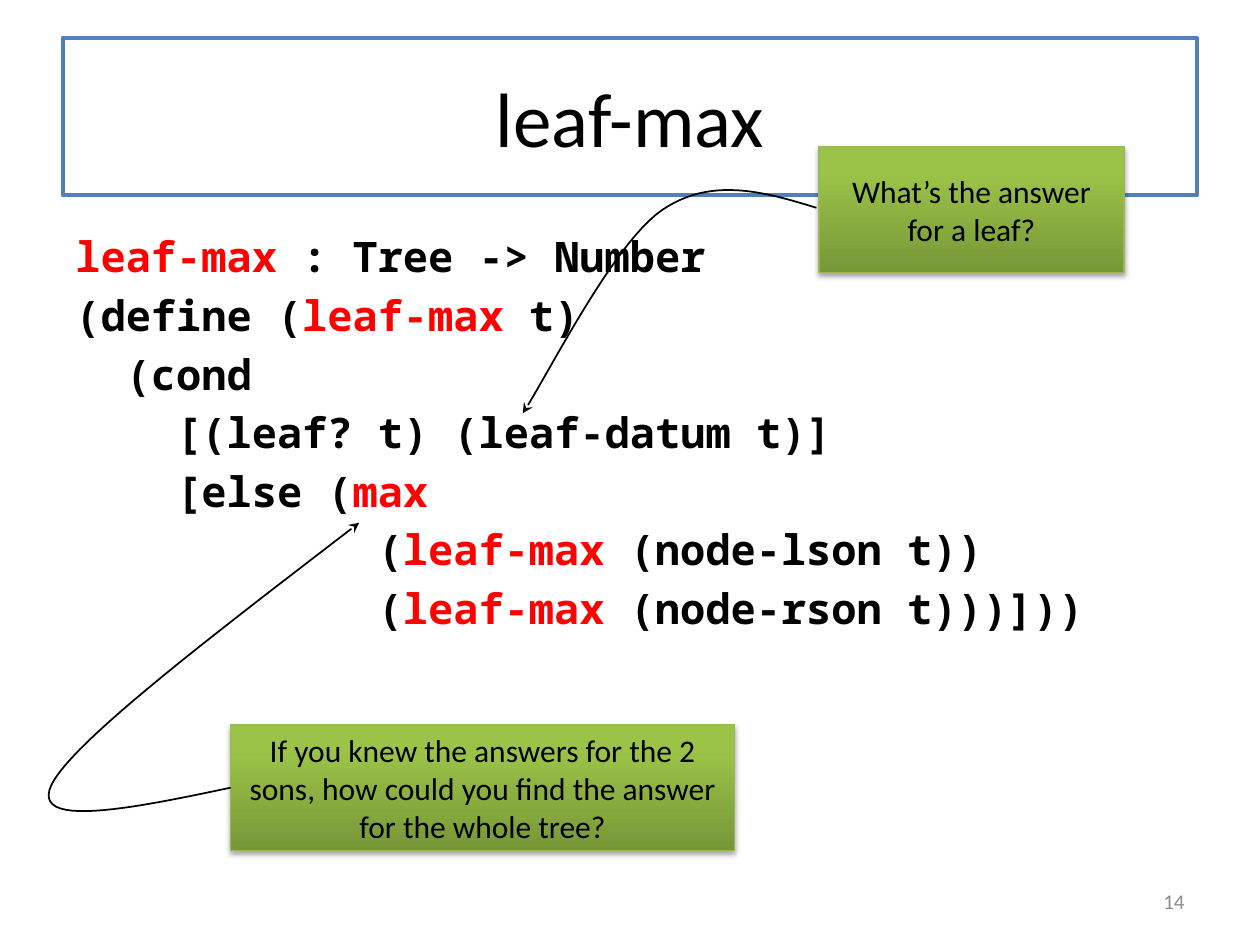
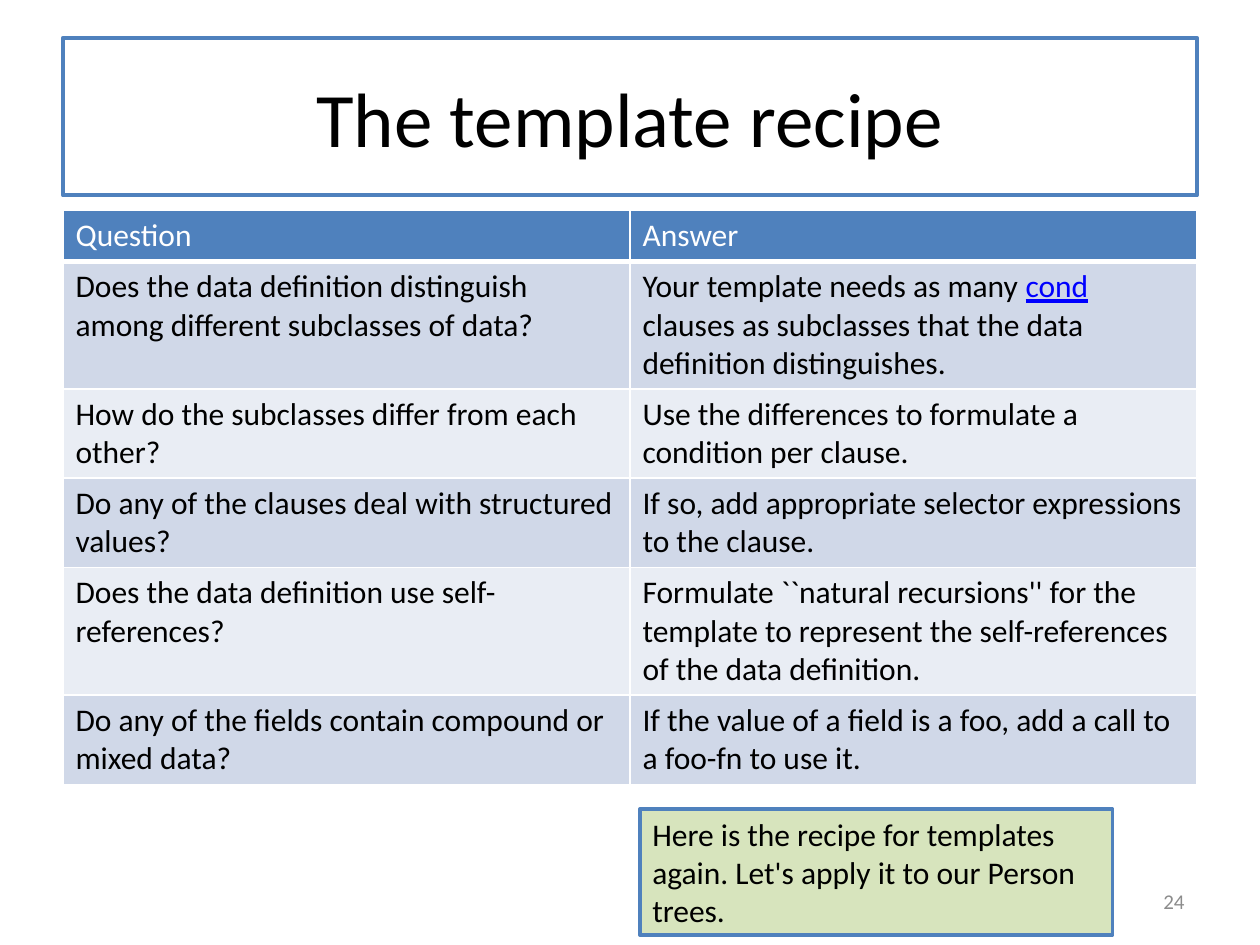
from dataclasses import dataclass

from lxml.etree import SubElement
from pptx import Presentation
from pptx.dml.color import RGBColor
from pptx.enum.shapes import MSO_SHAPE
from pptx.enum.text import MSO_ANCHOR, PP_ALIGN
from pptx.oxml.ns import qn
from pptx.presentation import Presentation as Deck
from pptx.shapes.autoshape import Shape
from pptx.slide import Slide
from pptx.table import _Cell as Cell
from pptx.text.text import _Paragraph as Paragraph
from pptx.util import Cm, Pt

# Shared look
BLACK = RGBColor(0x00, 0x00, 0x00)
WHITE = RGBColor(0xFF, 0xFF, 0xFF)
RED = RGBColor(0xFF, 0x00, 0x00)
LINK_BLUE = RGBColor(0x00, 0x00, 0xFF)
BLUE = RGBColor(0x4F, 0x81, 0xBD)
GREY = RGBColor(0x8C, 0x8C, 0x8C)
DARK_GREEN = RGBColor(0x77, 0x97, 0x37)
LIGHT_GREEN = RGBColor(0x9B, 0xC3, 0x48)
EDGE_GREEN = RGBColor(0x98, 0xB9, 0x55)
PALE_GREEN = RGBColor(0xD7, 0xE4, 0xBD)
BANDS = (RGBColor(0xD0, 0xD8, 0xE8), RGBColor(0xE9, 0xED, 0xF4))
TEXT_FONT = "Calibri"
CODE_FONT = "Noto Sans Mono"
CURVE_STEPS = 24

Point = tuple[float, float]


@dataclass(frozen=True)
class Piece:
    text: str
    color: RGBColor = BLACK
    underline: bool = False


@dataclass(frozen=True)
class Box:
    """Left, top, width and height in centimetres."""
    left: float
    top: float
    width: float
    height: float

    def lengths(self) -> tuple[Cm, Cm, Cm, Cm]:
        return Cm(self.left), Cm(self.top), Cm(self.width), Cm(self.height)


@dataclass(frozen=True)
class Callout:
    text: str
    box: Box
    curve: tuple[Point, ...]  # start, then two controls and an end per segment


TITLE_BOX = Box(1.27, 0.76, 22.86, 3.18)
NUMBER_BOX = Box(18.21, 17.65, 5.92, 1.02)
CODE_BOX = Box(1.27, 4.45, 22.86, 12.57)
TABLE_BOX = Box(1.27, 4.24, 22.86, 11.46)
NOTE_BOX = Box(12.9, 16.31, 9.53, 2.54)

# Slide content
LEAF_MAX = Piece("leaf-max", RED)
CODE_LINES = (
    (LEAF_MAX, Piece(" : Tree -> Number")),
    (Piece("(define ("), LEAF_MAX, Piece(" t)")),
    (Piece("  (cond"),),
    (Piece("    [(leaf? t) (leaf-datum t)]"),),
    (Piece("    [else ("), Piece("max", RED)),
    (Piece("            ("), LEAF_MAX, Piece(" (node-lson t))")),
    (Piece("            ("), LEAF_MAX, Piece(" (node-rson t)))]))")),
)
CALLOUTS = (
    Callout("What’s the answer for a leaf?", Box(16.51, 2.96, 6.15, 2.54),
            ((16.46, 4.19), (15.39, 3.86), (14.33, 3.56), (13.34, 4.24),
             (12.34, 4.93), (10.97, 7.7), (10.54, 8.33))),
    Callout("If you knew the answers for the 2 sons, how could you find "
            "the answer for the whole tree?", Box(4.65, 14.61, 10.16, 2.54),
            ((4.65, 15.88), (2.62, 16.31), (0.61, 16.71), (1.04, 15.82),
             (1.47, 14.94), (4.37, 12.75), (7.24, 10.54))),
)
RECIPE = (
    ((Piece("Question", WHITE),), (Piece("Answer", WHITE),)),
    ((Piece("Does the data definition distinguish among different subclasses of data?"),),
     (Piece("Your template needs as many "), Piece("cond", LINK_BLUE, True),
      Piece(" clauses as subclasses that the data definition distinguishes."))),
    ((Piece("How do the subclasses differ from each other?"),),
     (Piece("Use the differences to formulate a condition per clause."),)),
    ((Piece("Do any of the clauses deal with structured values?"),),
     (Piece("If so, add appropriate selector expressions to the clause."),)),
    ((Piece("Does the data definition use self-references?"),),
     (Piece("Formulate ``natural recursions'' for the template to represent "
            "the self-references of the data definition."),)),
    ((Piece("Do any of the fields contain compound or mixed data?"),),
     (Piece("If the value of a field is a foo, add a call to a foo-fn to use it."),)),
)
ROW_HEIGHTS = (1.03, 2.57, 1.8, 1.8, 2.57, 1.8)


def add_runs(paragraph: Paragraph, pieces: tuple[Piece, ...], size: float,
             font_name: str = TEXT_FONT, bold: bool = False) -> None:
    for piece in pieces:
        run = paragraph.add_run()
        run.text = piece.text
        run.font.name = font_name
        run.font.size = Pt(size)
        run.font.bold = bold
        run.font.color.rgb = piece.color
        if piece.underline:
            run.font.underline = True


def fill_frame(shape: Shape, piece: Piece, size: float, align: PP_ALIGN) -> None:
    """Put one middle-anchored, wrapped paragraph in a shape."""
    frame = shape.text_frame
    frame.word_wrap = True
    frame.vertical_anchor = MSO_ANCHOR.MIDDLE
    frame.paragraphs[0].alignment = align
    add_runs(frame.paragraphs[0], (piece,), size)


def set_outline(shape: Shape, color: RGBColor, width: float) -> None:
    shape.line.color.rgb = color
    shape.line.width = Pt(width)


def add_titled_slide(presentation: Deck, title: str, number: int) -> Slide:
    slide = presentation.slides.add_slide(presentation.slide_layouts[5])
    heading = slide.shapes.title
    heading.left, heading.top, heading.width, heading.height = TITLE_BOX.lengths()
    heading.fill.solid()
    heading.fill.fore_color.rgb = WHITE
    set_outline(heading, BLUE, 2.25)
    fill_frame(heading, Piece(title), 44, PP_ALIGN.CENTER)
    number_box = slide.shapes.add_textbox(*NUMBER_BOX.lengths())
    fill_frame(number_box, Piece(str(number), GREY), 12, PP_ALIGN.RIGHT)
    return slide


def add_rectangle(slide: Slide, box: Box, edge: RGBColor, width: float) -> Shape:
    shape = slide.shapes.add_shape(MSO_SHAPE.RECTANGLE, *box.lengths())
    shape.shadow.inherit = False
    set_outline(shape, edge, width)
    return shape


def add_code(slide: Slide) -> None:
    frame = slide.shapes.add_textbox(*CODE_BOX.lengths()).text_frame
    frame.word_wrap = True
    for index, pieces in enumerate(CODE_LINES):
        paragraph = frame.add_paragraph() if index else frame.paragraphs[0]
        paragraph.line_spacing = Pt(31)
        paragraph.space_before = Pt(2.5 if index else 0)
        properties = paragraph._p.get_or_add_pPr()
        properties.set("marL", str(Cm(0.95)))
        properties.set("indent", str(-Cm(0.95)))
        add_runs(paragraph, pieces, 24, CODE_FONT, bold=True)


def curve_points(curve: tuple[Point, ...]) -> list[Point]:
    """Sample a chain of cubic Bézier segments."""
    points = [curve[0]]
    for first in range(0, len(curve) - 1, 3):
        segment = curve[first:first + 4]
        for step in range(1, CURVE_STEPS + 1):
            t = step / CURVE_STEPS
            weights = ((1 - t) ** 3, 3 * t * (1 - t) ** 2, 3 * t * t * (1 - t), t ** 3)
            points.append((sum(w * x for w, (x, _) in zip(weights, segment)),
                           sum(w * y for w, (_, y) in zip(weights, segment))))
    return points


def add_callout(slide: Slide, callout: Callout) -> None:
    # Green box with a soft shadow
    shape = add_rectangle(slide, callout.box, EDGE_GREEN, 0.75)
    shape.fill.gradient()
    shape.fill.gradient_angle = 90
    stops = zip(shape.fill.gradient_stops, (DARK_GREEN, LIGHT_GREEN), (0, 0.8))
    for stop, color, position in stops:
        stop.color.rgb = color
        stop.position = position
    effects = shape._element.spPr.find(qn("a:effectLst"))
    shadow = SubElement(effects, qn("a:outerShdw"), blurRad=str(Pt(3.1)),
                        dist=str(Pt(1.8)), dir="5400000", rotWithShape="0")
    shadow_color = SubElement(shadow, qn("a:srgbClr"), val=str(BLACK))
    SubElement(shadow_color, qn("a:alpha"), val="35000")
    fill_frame(shape, Piece(callout.text), 18, PP_ALIGN.CENTER)

    # Curved arrow to the code
    start, *others = [(Cm(x), Cm(y)) for x, y in curve_points(callout.curve)]
    builder = slide.shapes.build_freeform(*start)
    builder.add_line_segments(others, close=False)
    arrow = builder.convert_to_shape()
    arrow.shadow.inherit = False
    arrow.fill.background()
    set_outline(arrow, BLACK, 1)
    SubElement(arrow.line._get_or_add_ln(), qn("a:tailEnd"), type="stealth")


def set_borders(cell: Cell, bottom: float) -> None:
    properties = cell._tc.get_or_add_tcPr()
    for side, width in (("L", 1), ("R", 1), ("T", 1), ("B", bottom)):
        line = SubElement(properties, qn(f"a:ln{side}"), w=str(Pt(width)))
        fill = SubElement(line, qn("a:solidFill"))
        SubElement(fill, qn("a:srgbClr"), val=str(WHITE))


def add_recipe_table(slide: Slide) -> None:
    table = slide.shapes.add_table(len(RECIPE), 2, *TABLE_BOX.lengths()).table
    for row_index, (row, height) in enumerate(zip(RECIPE, ROW_HEIGHTS)):
        table.rows[row_index].height = Cm(height)
        for column_index, pieces in enumerate(row):
            cell = table.cell(row_index, column_index)
            set_borders(cell, 1 if row_index else 3)
            cell.fill.solid()
            cell.fill.fore_color.rgb = BANDS[(row_index - 1) % 2] if row_index else BLUE
            add_runs(cell.text_frame.paragraphs[0], pieces, 18)


def add_note(slide: Slide) -> None:
    note = add_rectangle(slide, NOTE_BOX, BLUE, 2)
    note.fill.solid()
    note.fill.fore_color.rgb = PALE_GREEN
    text = "Here is the recipe for templates again. Let's apply it to our Person trees."
    fill_frame(note, Piece(text), 18, PP_ALIGN.LEFT)


def main() -> None:
    presentation = Presentation()
    presentation.slide_width, presentation.slide_height = Cm(25.4), Cm(19.05)

    # Code with two callouts
    code_slide = add_titled_slide(presentation, "leaf-max", 14)
    add_code(code_slide)
    for callout in CALLOUTS:
        add_callout(code_slide, callout)

    # Recipe table with a note
    recipe_slide = add_titled_slide(presentation, "The template recipe", 24)
    add_recipe_table(recipe_slide)
    add_note(recipe_slide)

    presentation.save("out.pptx")


if __name__ == "__main__":
    main()
